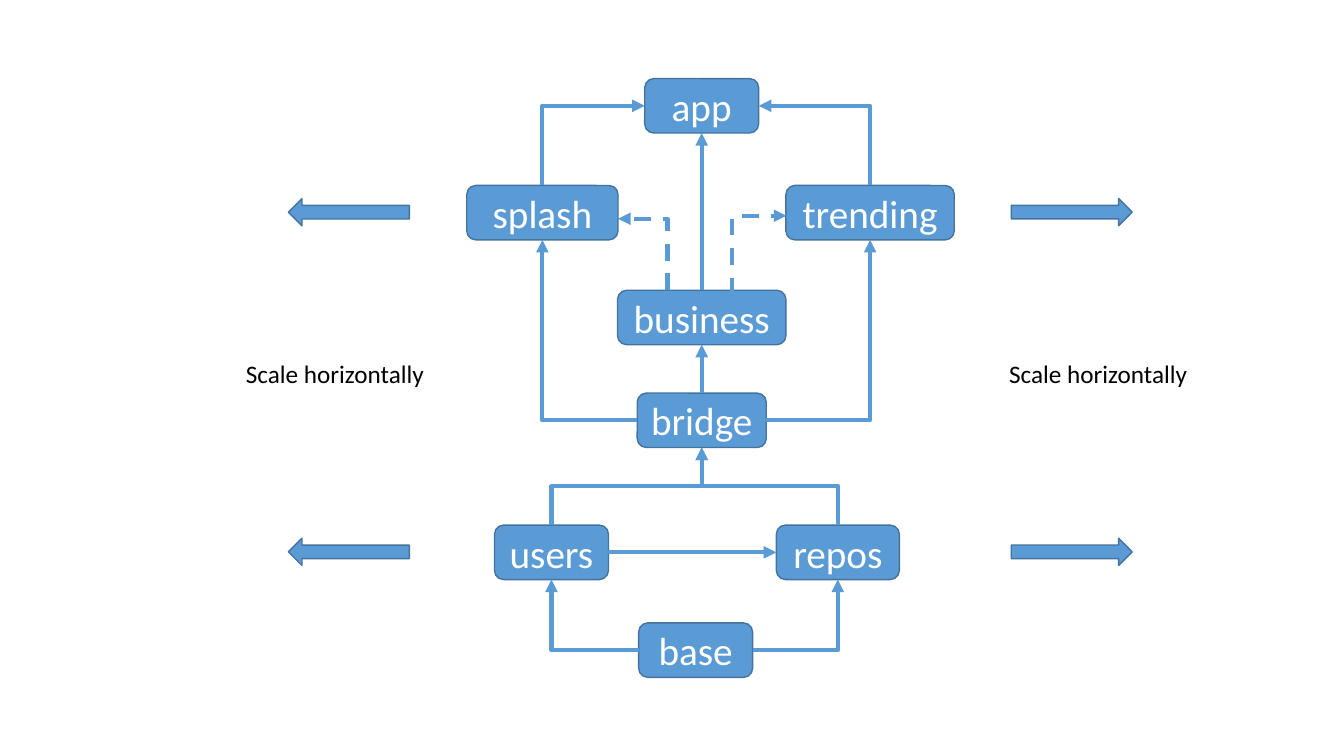
import pptx
import pptx.dml.color
import pptx.enum.dml
import pptx.enum.shapes
import pptx.enum.text
import pptx.oxml
import pptx.oxml.ns
import pptx.util
from pptx.util import Inches

COLORS = {"blue": "5B9BD5", "edge": "43739E", "white": "FFFFFF", "black": "000000"}
MODULE_HEIGHT = 0.54
TOP, LEFT, BOTTOM, RIGHT = range(4)

# name: (centre x, top, width)
MODULES = {
    "base": (6.9, 6.18, 1.13),
    "users": (5.47, 5.21, 1.13),
    "repos": (8.31, 5.21, 1.22),
    "business": (6.96, 2.88, 1.67),
    "bridge": (6.96, 3.9, 1.28),
    "splash": (5.38, 1.84, 1.5),
    "trending": (8.63, 1.84, 1.67),
    "app": (6.96, 0.78, 1.13),
}


def rgb(name):
    return pptx.dml.color.RGBColor.from_string(COLORS[name])


def side(name, where):
    """Middle of one side of a module, in inches."""
    x, top, width = MODULES[name]
    return {
        TOP: (x, top),
        LEFT: (x - width / 2, top + MODULE_HEIGHT / 2),
        BOTTOM: (x, top + MODULE_HEIGHT),
        RIGHT: (x + width / 2, top + MODULE_HEIGHT / 2),
    }[where]


def write(frame, text, size, color, align):
    frame.word_wrap = True
    paragraph = frame.paragraphs[0]
    paragraph.alignment = align
    run = paragraph.add_run()
    run.text = text
    run.font.size = pptx.util.Pt(size)
    run.font.name = "Calibri"
    run.font.color.rgb = rgb(color)


def add_block(slide, kind, left, top, width, height):
    block = slide.shapes.add_shape(
        kind, Inches(left), Inches(top), Inches(width), Inches(height))
    block.shadow.inherit = False
    block.fill.solid()
    block.fill.fore_color.rgb = rgb("blue")
    block.line.color.rgb = rgb("edge")
    block.line.width = pptx.util.Pt(1)
    return block


def add_module(slide, name):
    x, top, width = MODULES[name]
    module = add_block(slide, pptx.enum.shapes.MSO_SHAPE.ROUNDED_RECTANGLE,
                       x - width / 2, top, width, MODULE_HEIGHT)
    module.text_frame.vertical_anchor = pptx.enum.text.MSO_ANCHOR.MIDDLE
    write(module.text_frame, name, size=28, color="white",
          align=pptx.enum.text.PP_ALIGN.CENTER)
    return module


def add_link(slide, kind, start, end, dashed=False):
    link = slide.shapes.add_connector(kind, *(Inches(v) for v in (*start, *end)))
    link.line.color.rgb = rgb("blue")
    link.line.width = pptx.util.Pt(3)
    if dashed:
        link.line.dash_style = pptx.enum.dml.MSO_LINE.DASH
    properties = link._element.spPr
    outline = properties.find(pptx.oxml.ns.qn("a:ln"))
    namespace = pptx.oxml.ns.nsdecls("a")
    outline.append(pptx.oxml.parse_xml(f'<a:tailEnd {namespace} type="triangle"/>'))
    properties.append(pptx.oxml.parse_xml(f"<a:effectLst {namespace}/>"))
    return link


def add_straight(slide, modules, source, source_side, target, target_side):
    link = add_link(slide, pptx.enum.shapes.MSO_CONNECTOR.STRAIGHT,
                    side(source, source_side), side(target, target_side))
    link.begin_connect(modules[source], source_side)
    link.end_connect(modules[target], target_side)


def add_bent(slide, start, end, upward=False, bends=1, dashed=False):
    """Elbow that leaves sideways, or upward by turning its frame 270 degrees."""
    if upward:
        middle_x, middle_y = (start[0] + end[0]) / 2, (start[1] + end[1]) / 2
        half_run, half_rise = (end[0] - start[0]) / 2, (start[1] - end[1]) / 2
        start = (middle_x - half_rise, middle_y - half_run)
        end = (middle_x + half_rise, middle_y + half_run)
    link = add_link(slide, pptx.enum.shapes.MSO_CONNECTOR.ELBOW, start, end, dashed)
    properties = link._element.spPr
    properties.find(pptx.oxml.ns.qn("a:prstGeom")).set("prst", f"bentConnector{bends + 1}")
    if upward:
        properties.find(pptx.oxml.ns.qn("a:xfrm")).set("rot", str(270 * 60000))


def add_scale_arrow(slide, left, top, rotation):
    arrow = add_block(slide, pptx.enum.shapes.MSO_SHAPE.RIGHT_ARROW, left, top, 1.2, 0.27)
    arrow.rotation = rotation


def add_scale_label(slide, left):
    label = slide.shapes.add_textbox(Inches(left), Inches(3.51), Inches(2.23), Inches(0.4))
    write(label.text_frame, "Scale horizontally", size=18, color="black",
          align=pptx.enum.text.PP_ALIGN.LEFT)


def main():
    deck = pptx.Presentation()
    deck.slide_width, deck.slide_height = Inches(13.33), Inches(7.5)
    slide = deck.slides.add_slide(deck.slide_layouts[6])

    modules = {name: add_module(slide, name) for name in MODULES}

    for source, target, exit_side in (
            ("base", "users", LEFT), ("base", "repos", RIGHT),
            ("bridge", "splash", LEFT), ("bridge", "trending", RIGHT)):
        add_bent(slide, side(source, exit_side), side(target, BOTTOM))
    for feature, entry_side in (("splash", LEFT), ("trending", RIGHT)):
        add_bent(slide, side(feature, TOP), side("app", entry_side), upward=True)
    for data in ("users", "repos"):
        add_bent(slide, side(data, TOP), side("bridge", BOTTOM), upward=True, bends=2)
    add_bent(slide, (6.62, 2.88), (6.13, 2.17), upward=True, dashed=True)
    add_bent(slide, (7.26, 2.92), (7.8, 2.14), upward=True, dashed=True)

    add_straight(slide, modules, "users", RIGHT, "repos", LEFT)
    add_straight(slide, modules, "bridge", TOP, "business", BOTTOM)
    add_straight(slide, modules, "business", TOP, "app", BOTTOM)

    for top in (1.97, 5.34):
        add_scale_arrow(slide, 2.86, top, rotation=180)
        add_scale_arrow(slide, 10.03, top, rotation=0)
    for left in (2.34, 9.91):
        add_scale_label(slide, left)

    deck.save("out.pptx")


if __name__ == "__main__":
    main()
